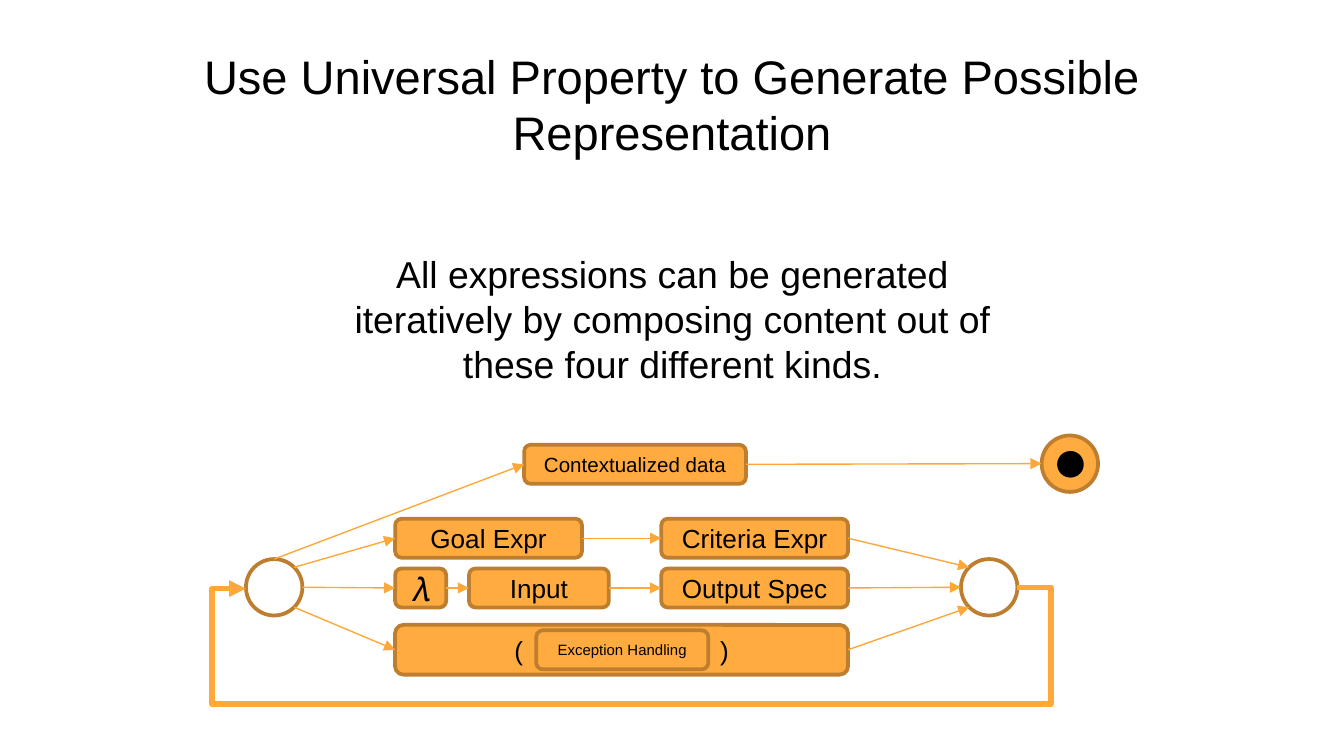
from math import cos, radians, sin

from lxml import etree
from pptx import Presentation
from pptx.dml.color import RGBColor
from pptx.enum.shapes import MSO_CONNECTOR, MSO_SHAPE
from pptx.enum.text import MSO_ANCHOR, MSO_AUTO_SIZE, PP_ALIGN
from pptx.oxml.ns import qn
from pptx.util import Inches, Pt

ELLIPSE, ROUNDED = MSO_SHAPE.OVAL, MSO_SHAPE.ROUNDED_RECTANGLE
STRAIGHT, ELBOW = MSO_CONNECTOR.STRAIGHT, MSO_CONNECTOR.ELBOW
CENTER, LEFT = PP_ALIGN.CENTER, PP_ALIGN.LEFT
TOP, MIDDLE = MSO_ANCHOR.TOP, MSO_ANCHOR.MIDDLE

FONT = "Arial"
COLORS = {"text": "000000", "fill": "FFAB40", "border": "BD7F2F", "arrow": "FEA83A"}
NODE_HEIGHT = 0.29
CIRCLE = 0.42


def color(name):
    return RGBColor.from_string(COLORS[name])


def write(shape, text, size, alignment=CENTER, anchor=MIDDLE):
    frame = shape.text_frame
    frame.word_wrap = True
    frame.vertical_anchor = anchor
    paragraph = frame.paragraphs[0]
    paragraph.alignment = alignment
    run = paragraph.add_run()
    run.text = text
    run.font.name = FONT
    run.font.size = Pt(size)
    run.font.color.rgb = color("text")


def set_margins(frame, side, vertical):
    frame.margin_left = frame.margin_right = Inches(side)
    frame.margin_top = frame.margin_bottom = Inches(vertical)


def add_title(slide, left, top, width, height):
    title = slide.shapes.title
    title.left, title.top = Inches(left), Inches(top)
    title.width, title.height = Inches(width), Inches(height)
    title.text_frame.auto_size = MSO_AUTO_SIZE.NONE
    set_margins(title.text_frame, 0.1, 0.1)
    write(title, "Use Universal Property to Generate Possible Representation",
          25.2, anchor=TOP)


def add_statement(slide, left, top, width, height):
    box = slide.shapes.add_textbox(Inches(left), Inches(top), Inches(width), Inches(height))
    write(box, "All expressions can be generated iteratively by composing "
          "content out of these four different kinds.", 20, anchor=TOP)
    box.text_frame.auto_size = MSO_AUTO_SIZE.SHAPE_TO_FIT_TEXT


def add_node(group, kind, left, top, width, height, fill="fill", border="border"):
    node = group.shapes.add_shape(kind, Inches(left), Inches(top),
                                  Inches(width), Inches(height))
    node.shadow.inherit = False
    if fill:
        node.fill.solid()
        node.fill.fore_color.rgb = color(fill)
    else:
        node.fill.background()
    node.line.color.rgb = color(border)
    node.line.width = Pt(2)
    return node


def add_box(group, left, top, width, text, size=14):
    box = add_node(group, ROUNDED, left, top, width, NODE_HEIGHT)
    set_margins(box.text_frame, 0, 0)
    write(box, text, size)
    return box


def side(node, direction):
    """Middle of the left (-1) or right (1) side."""
    return node.left + node.width * (1 + direction) // 2, node.top + node.height // 2


def rim(circle, degrees):
    """Point on a circle, clockwise from the right."""
    radius = circle.width / 2
    return (int(circle.left + radius * (1 + cos(radians(degrees)))),
            int(circle.top + radius * (1 + sin(radians(degrees)))))


def add_arrow(group, start, end, width=0.75, kind=STRAIGHT):
    arrow = group.shapes.add_connector(kind, *start, *end)
    arrow.line.color.rgb = color("arrow")
    arrow.line.width = Pt(width)
    etree.SubElement(arrow.line._get_or_add_ln(), qn("a:tailEnd"), type="triangle")
    etree.SubElement(arrow._element.spPr, qn("a:effectLst"))
    return arrow


def add_loop(group, start, end, margin, bottom):
    """Five-part elbow that runs back under the diagram."""
    loop = add_arrow(group, start, end, 3, ELBOW)
    geometry = loop._element.spPr.find(qn("a:prstGeom"))
    geometry.set("prst", "bentConnector5")
    guides = geometry.find(qn("a:avLst"))
    if guides is None:
        guides = etree.SubElement(geometry, qn("a:avLst"))
    overhang = margin / loop.width
    ratios = (-overhang, (bottom - start[1]) / loop.height, 1 + overhang)
    for number, ratio in enumerate(ratios, 1):
        etree.SubElement(guides, qn("a:gd"), name=f"adj{number}",
                         fmla=f"val {round(ratio * 100000)}")


def add_diagram(slide, left, top):
    group = slide.shapes.add_group_shape()

    # States
    start = add_node(group, ELLIPSE, left + 0.25, top + 0.92, CIRCLE, CIRCLE, None)
    end = add_node(group, ELLIPSE, left + 5.57, top + 0.92, CIRCLE, CIRCLE, None)
    final = add_node(group, ELLIPSE, left + 6.17, top, CIRCLE, CIRCLE)
    add_node(group, ELLIPSE, left + 6.3, top + 0.13, 0.17, 0.17, "text", "text")

    # Expression kinds
    context = add_box(group, left + 2.32, top + 0.07, 1.65, "Contextualized data", 11)
    goal = add_box(group, left + 1.36, top + 0.62, 1.39, "Goal Expr")
    criteria = add_box(group, left + 3.34, top + 0.62, 1.39, "Criteria Expr")
    function = add_box(group, left + 1.36, top + 0.99, 0.38, "𝜆", 18)
    input_box = add_box(group, left + 1.91, top + 0.99, 1.04, "Input")
    output = add_box(group, left + 3.34, top + 0.99, 1.39, "Output Spec")

    # Exception handling between parentheses, placed by a tab stop
    exception = add_node(group, ROUNDED, left + 1.36, top + 1.41, 3.37, 0.37)
    set_margins(exception.text_frame, 0, 0)
    exception.text_frame.margin_left = Inches(0.87)
    properties = exception.text_frame.paragraphs[0]._p.get_or_add_pPr()
    tabs = etree.SubElement(properties, qn("a:tabLst"))
    etree.SubElement(tabs, qn("a:tab"), pos=str(Inches(1.53)), algn="l")
    write(exception, "(\t)", 14, LEFT)
    add_box(group, left + 2.41, top + 1.45, 1.28, "Exception Handling", 8)

    # Arrows
    arrows = [
        (rim(start, -90), side(context, -1)),
        (rim(start, -45), side(goal, -1)),
        (rim(start, 0), side(function, -1)),
        (rim(start, 45), side(exception, -1)),
        (side(context, 1), side(final, -1)),
        (side(goal, 1), side(criteria, -1)),
        (side(function, 1), side(input_box, -1)),
        (side(input_box, 1), side(output, -1)),
        (side(criteria, 1), rim(end, -135)),
        (side(output, 1), rim(end, 180)),
        (side(exception, 1), rim(end, 135)),
    ]
    for origin, target in arrows:
        add_arrow(group, origin, target)

    # Return loop
    entry_x, entry_y = side(start, -1)
    add_loop(group, side(end, 1), (entry_x, entry_y + Inches(0.01)),
             Inches(0.25), Inches(top + 2.01))


def main():
    presentation = Presentation()
    presentation.slide_width = Inches(10)
    presentation.slide_height = Inches(10 * 9 / 16)
    slide = presentation.slides.add_slide(presentation.slide_layouts[5])
    add_title(slide, 0.34, 0.25, 9.32, 0.63)
    add_diagram(slide, 1.58, 3.24)
    add_statement(slide, 2.28, 1.82, 5.45, 1.11)
    presentation.save("out.pptx")


if __name__ == "__main__":
    main()
